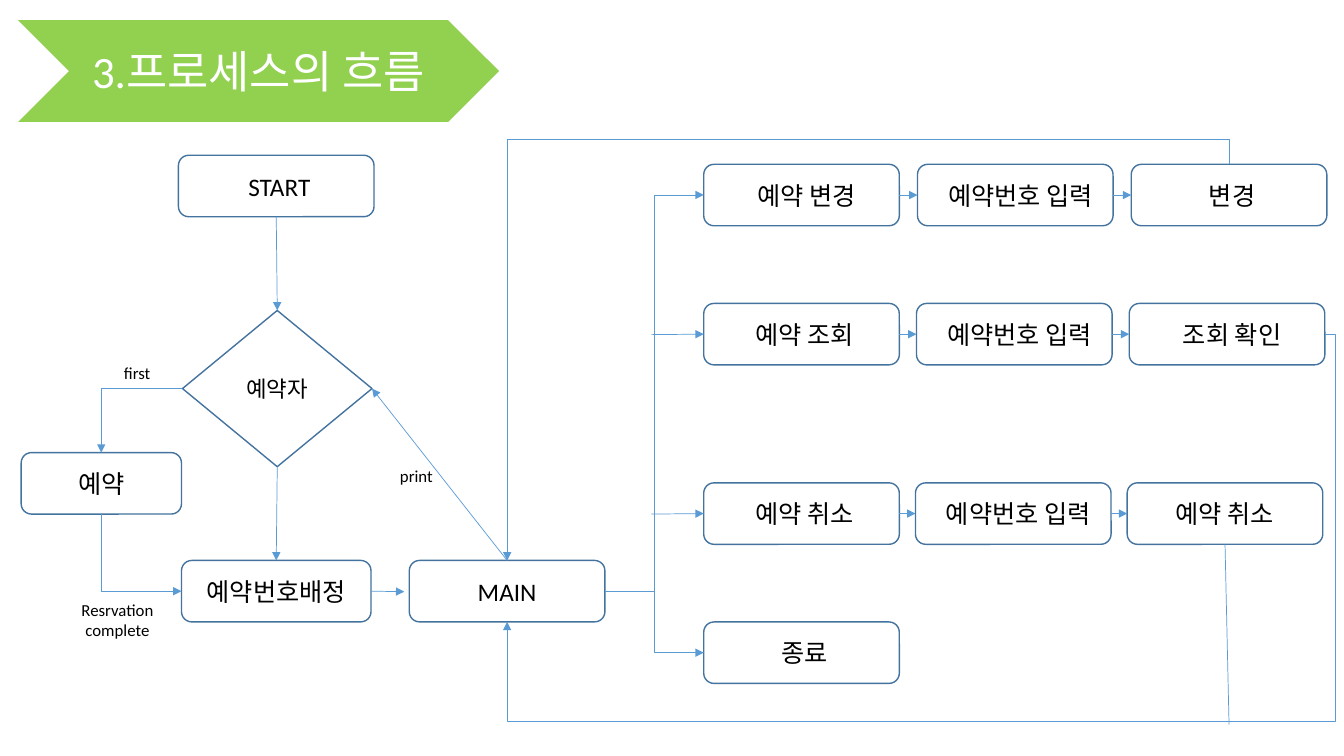
from dataclasses import dataclass
from itertools import pairwise

from lxml.etree import SubElement
from pptx import Presentation
from pptx.dml.color import RGBColor
from pptx.enum.shapes import MSO_CONNECTOR as Link, MSO_SHAPE as Preset
from pptx.enum.text import MSO_ANCHOR as Anchor, PP_ALIGN as Align
from pptx.oxml.ns import qn
from pptx.util import Inches, Pt

TOP, LEFT, BOTTOM, RIGHT = range(4)


@dataclass(frozen=True)
class Theme:
    """Colours, font and sizes of the slide."""
    font: str = "Calibri"
    banner: RGBColor = RGBColor(0x92, 0xD0, 0x50)
    paper: RGBColor = RGBColor(0xFF, 0xFF, 0xFF)
    ink: RGBColor = RGBColor(0, 0, 0)
    outline: RGBColor = RGBColor(0x43, 0x73, 0x9E)
    arrow: RGBColor = RGBColor(0x5B, 0x9B, 0xD5)
    title_size: int = 32
    step_size: int = 18
    decision_size: int = 16
    label_size: int = 12
    outline_width: float = 1
    arrow_width: float = 0.5


THEME = Theme()


def write(frame, text, size=THEME.step_size, color=THEME.ink,
          anchor=Anchor.MIDDLE, shift=0, side_margin=0.1):
    """Write centred text, one paragraph a line; shift moves it right."""
    frame.word_wrap = True
    frame.vertical_anchor = anchor
    frame.margin_left = Inches(side_margin + 2 * shift)
    frame.margin_right = Inches(side_margin)
    for number, line in enumerate(text.split("\n")):
        paragraph = frame.paragraphs[0] if number == 0 else frame.add_paragraph()
        paragraph.alignment = Align.CENTER
        run = paragraph.add_run()
        run.text = line
        run.font.name = THEME.font
        run.font.size = Pt(size)
        run.font.color.rgb = color


def add_node(slide, text, left, top, width=1.94, height=0.61,
             preset=Preset.ROUNDED_RECTANGLE, fill=THEME.paper,
             outlined=True, **text_format):
    """Add a filled shape with text and return it."""
    node = slide.shapes.add_shape(
        preset, Inches(left), Inches(top), Inches(width), Inches(height))
    node.shadow.inherit = False
    node.fill.solid()
    node.fill.fore_color.rgb = fill
    if outlined:
        node.line.color.rgb = THEME.outline
        node.line.width = Pt(THEME.outline_width)
    else:
        node.line.fill.background()
    write(node.text_frame, text, **text_format)
    return node


def add_label(slide, text, left, top, width, height):
    """Add a small caption standing at the bottom of its box."""
    label = slide.shapes.add_textbox(
        Inches(left), Inches(top), Inches(width), Inches(height))
    write(label.text_frame, text, size=THEME.label_size,
          anchor=Anchor.BOTTOM, side_margin=0.05)


def locate(end):
    """Return the point of an end: (node, site) or (x, y) in inches."""
    node, site = end
    if not hasattr(node, "left"):
        return Inches(node), Inches(site)
    across, down = {TOP: (1, 0), LEFT: (0, 1), BOTTOM: (1, 2), RIGHT: (2, 1)}[site]
    return node.left + node.width * across // 2, node.top + node.height * down // 2


def add_link(slide, start, finish, kind=Link.STRAIGHT, head=True):
    """Join two ends, glued wherever an end is a node."""
    link = slide.shapes.add_connector(kind, *locate(start), *locate(finish))
    for (node, site), glue in ((start, link.begin_connect), (finish, link.end_connect)):
        if hasattr(node, "left"):
            glue(node, site)
    link.line.color.rgb = THEME.arrow
    link.line.width = Pt(THEME.arrow_width)
    if head:
        SubElement(link.line._get_or_add_ln(), qn("a:tailEnd"), type="triangle")
    SubElement(link._element.spPr, qn("a:effectLst"))
    return link


def add_elbow(slide, start, finish, preset="bentConnector3", turn=0,
              flip_h=False, flip_v=False, bends=()):
    """Join two ends by a bent arrow; turn is in degrees, bends in 1/100000."""
    link = add_link(slide, start, finish, Link.ELBOW)
    (x1, y1), (x2, y2) = locate(start), locate(finish)
    width, height = abs(x2 - x1), abs(y2 - y1)
    if turn in (90, 270):
        width, height = height, width
    link.left, link.top = (x1 + x2 - width) // 2, (y1 + y2 - height) // 2
    link.width, link.height = width, height
    properties = link._element.spPr
    frame = properties.xfrm
    frame.rot, frame.flipH, frame.flipV = turn, flip_h, flip_v
    geometry = properties.find(qn("a:prstGeom"))
    geometry.set("prst", preset)
    guides = geometry.find(qn("a:avLst"))
    for number, bend in enumerate(bends, 1):
        SubElement(guides, qn("a:gd"), name=f"adj{number}", fmla=f"val {bend}")


def add_booking(slide):
    """Draw the booking part on the left and return the MAIN node."""
    start = add_node(slide, "START", 1.77, 1.54, shift=0.03)
    guest = add_node(slide, "예약자", 1.81, 3.08, 1.88, 1.55,
                     preset=Preset.DIAMOND, size=THEME.decision_size)
    booking = add_node(slide, "예약", 0.21, 4.49, 1.59)
    number = add_node(slide, "예약번호배정", 1.8, 5.56, 1.88)
    main_menu = add_node(slide, "MAIN", 4.06, 5.56)

    add_link(slide, (start, BOTTOM), (guest, TOP))
    add_link(slide, (guest, BOTTOM), (number, TOP))
    add_link(slide, (number, RIGHT), (4.01, 5.87))
    add_link(slide, (main_menu, TOP), (guest, RIGHT))
    add_elbow(slide, (guest, LEFT), (booking, TOP), "bentConnector2", flip_h=True)
    add_elbow(slide, (booking, BOTTOM), (number, LEFT), "bentConnector2",
              turn=270, flip_h=True)

    add_label(slide, "first", 1.09, 2.64, 0.54, 1.21)
    add_label(slide, "Resrvation\ncomplete", 0.69, 4.99, 0.95, 1.41)
    add_label(slide, "print", 3.86, 3.66, 0.54, 1.21)
    return main_menu


def add_row(slide, top, pitch, steps):
    """Draw a row of (text, shift) steps joined by arrows."""
    nodes = [add_node(slide, text, 6.98 + pitch * column, top, shift=shift)
             for column, (text, shift) in enumerate(steps)]
    for before, after in pairwise(nodes):
        add_link(slide, (before, RIGHT), (after, LEFT))
    return nodes


def add_menu(slide, main_menu):
    """Draw the four menu rows and their ways from and back to MAIN."""
    enter_number = ("예약번호 입력", 0.05)
    change = add_row(slide, 1.63, 2.12,
                     [("예약 변경", 0.05), enter_number, ("변경", 0.03)])
    lookup = add_row(slide, 3.01, 2.11,
                     [("예약 조회", 0.03), enter_number, ("조회 확인", 0.05)])
    cancel = add_row(slide, 4.79, 2.1,
                     [("예약 취소", 0.03), enter_number, ("예약 취소", 0)])
    leave = add_row(slide, 6.17, 0, [("종료", 0.03)])

    add_elbow(slide, (main_menu, RIGHT), (change[0], LEFT), flip_v=True)
    add_elbow(slide, (main_menu, RIGHT), (leave[0], LEFT))
    for row, y in ((lookup, 3.32), (cancel, 5.1)):
        add_link(slide, (6.46, y), (row[0], LEFT))
    add_elbow(slide, (change[-1], TOP), (main_menu, TOP), turn=90, bends=(-6400,))
    add_elbow(slide, (lookup[-1], RIGHT), (main_menu, BOTTOM), "bentConnector4",
              flip_h=True, bends=(-1300, 134600))
    add_link(slide, (cancel[-1], BOTTOM), (12.19, 7.19), head=False)


def main():
    """Build the process flow slide."""
    deck = Presentation()
    deck.slide_width, deck.slide_height = Inches(13.33), Inches(7.5)
    slide = deck.slides.add_slide(deck.slide_layouts[6])
    add_node(slide, "3.프로세스의 흐름", 0.18, 0.2, 4.77, 1.01,
             preset=Preset.CHEVRON, fill=THEME.banner, outlined=False,
             size=THEME.title_size, color=THEME.paper)
    add_menu(slide, add_booking(slide))
    deck.save("out.pptx")


main()
